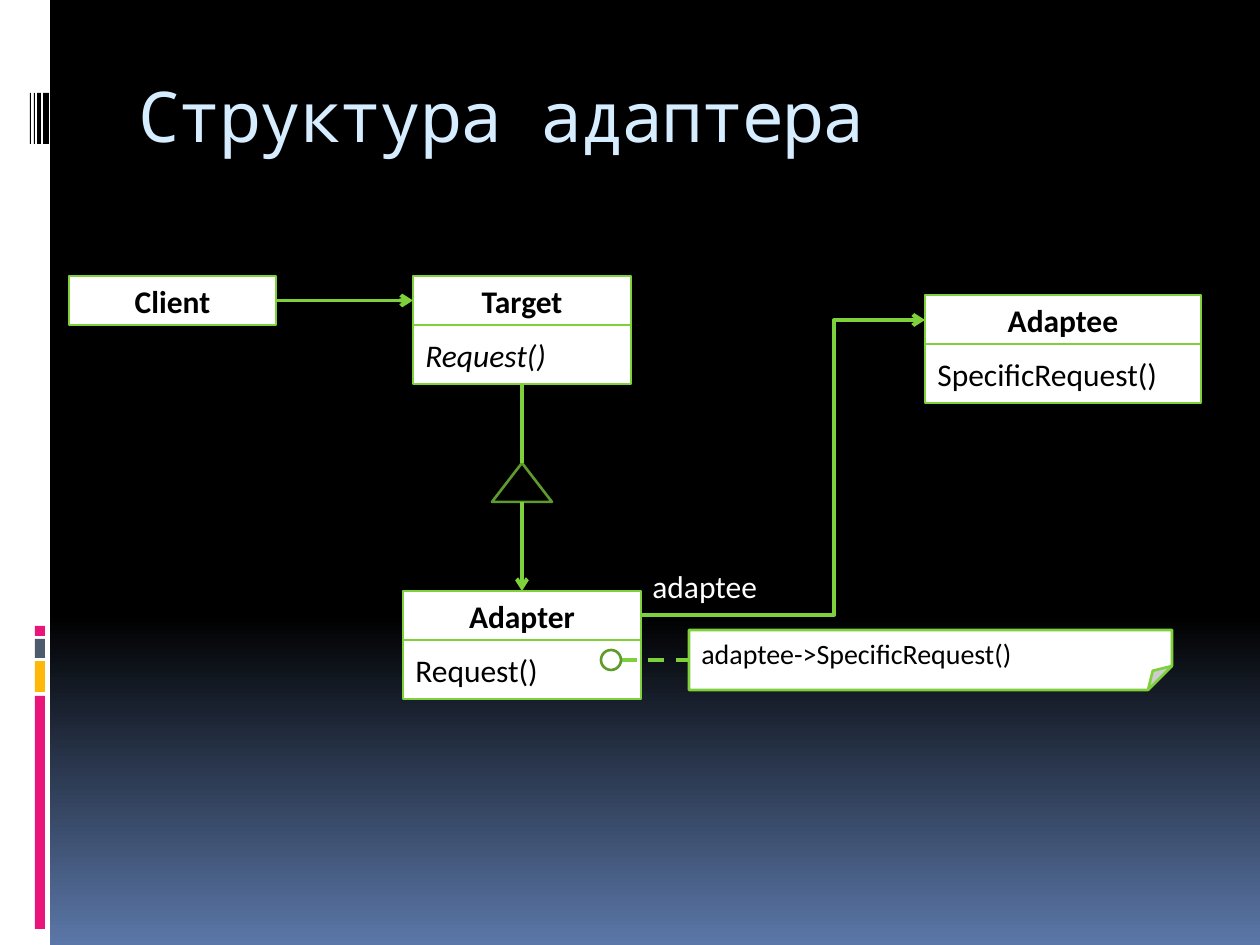
from lxml.etree import SubElement
from pptx import Presentation
from pptx.dml.color import RGBColor
from pptx.enum.dml import MSO_LINE
from pptx.enum.shapes import MSO_CONNECTOR, MSO_SHAPE
from pptx.enum.text import MSO_ANCHOR, PP_ALIGN
from pptx.oxml.ns import qn
from pptx.util import Emu, Pt

WHITE, BLACK = "FFFFFF", "000000"
GREEN, DARK_GREEN = "7FD13B", "5E9B2C"
PINK, YELLOW, SLATE = "EA157A", "FEB80A", "4E5B6F"
HEADER_HEIGHT, BODY_HEIGHT = 49, 59
TOP, LEFT, BOTTOM, RIGHT = range(4)


def px(length):
    """Turn pixels (126 to the inch) into EMU."""
    return Emu(round(length * 914400 / 126))


def color(value):
    return RGBColor.from_string(value)


def write(shape, text, size, text_color=BLACK, font="Calibri", bold=False,
          italic=False, align=PP_ALIGN.LEFT, anchor=MSO_ANCHOR.TOP):
    frame = shape.text_frame
    frame.text = text
    frame.word_wrap = True
    frame.vertical_anchor = anchor
    paragraph = frame.paragraphs[0]
    paragraph.alignment = align
    run_font = paragraph.runs[0].font
    run_font.name, run_font.size = font, Pt(size)
    run_font.bold, run_font.italic = bold, italic
    run_font.color.rgb = color(text_color)


def set_guide(shape, name, share):
    """Set a geometry guide that python-pptx does not expose."""
    geometry = shape._element.spPr.find(qn("a:prstGeom"))
    guides = geometry.find(qn("a:avLst"))
    if guides is None:
        guides = SubElement(geometry, qn("a:avLst"))
    SubElement(guides, qn("a:gd"), name=name, fmla=f"val {round(share * 100000)}")


def add_figure(slide, kind, left, top, width, height, fill=None, line=None):
    shape = slide.shapes.add_shape(kind, px(left), px(top), px(width), px(height))
    shape.shadow.inherit = False
    if fill:
        shape.fill.solid()
        shape.fill.fore_color.rgb = color(fill)
    else:
        shape.fill.background()
    if line:
        shape.line.color.rgb = color(line)
        shape.line.width = Pt(1.5)
    else:
        shape.line.fill.background()
    return shape


def add_class_box(slide, name, left, top, width, method=None, italic=False):
    """Draw a class header with an optional method row; return both."""
    header = add_figure(slide, MSO_SHAPE.RECTANGLE, left, top, width,
                        HEADER_HEIGHT, WHITE, GREEN)
    write(header, name, 18, bold=True, align=PP_ALIGN.CENTER, anchor=MSO_ANCHOR.MIDDLE)
    body = None
    if method:
        body = add_figure(slide, MSO_SHAPE.RECTANGLE, left, top + HEADER_HEIGHT,
                          width, BODY_HEIGHT, WHITE, GREEN)
        write(body, method, 18, italic=italic, anchor=MSO_ANCHOR.MIDDLE)
    return header, body


def add_link(slide, start, end, kind=MSO_CONNECTOR.STRAIGHT, arrow=False,
             dashed=False, begin_at=None, end_at=None):
    """Connect two points; begin_at and end_at are (shape, side) pairs."""
    link = slide.shapes.add_connector(kind, *map(px, start + end))
    if begin_at:
        link.begin_connect(*begin_at)
    if end_at:
        link.end_connect(*end_at)
    link.line.color.rgb = color(GREEN)
    link.line.width = Pt(2.25)
    if dashed:
        link.line.dash_style = MSO_LINE.DASH
    properties = link._element.spPr
    if arrow:
        SubElement(properties.find(qn("a:ln")), qn("a:tailEnd"), type="arrow")
    SubElement(properties, qn("a:effectLst"))
    return link


def paint_background(slide):
    fill = slide.background.fill
    fill.gradient()
    fill.gradient_angle = 270
    for stop, position, value in zip(fill.gradient_stops, (0.65, 1), (BLACK, "5B77A8")):
        stop.position = position
        stop.color.rgb = color(value)


def add_side_strip(slide):
    add_figure(slide, MSO_SHAPE.RECTANGLE, 0, 0, 50, 945, WHITE)
    for top, height, fill in ((696, 233, PINK), (661, 31, YELLOW),
                              (639, 19, SLATE), (626, 10, PINK)):
        add_figure(slide, MSO_SHAPE.RECTANGLE, 35, top, 10, height, fill)
    for left, width in ((43, 6), (37, 4), (34, 1), (30, 1)):
        add_figure(slide, MSO_SHAPE.RECTANGLE, left, 93, width, 51, BLACK)


def add_title(slide, text):
    title = slide.shapes.title
    title.left, title.top, title.width, title.height = map(px, (126, 71, 1071, 126))
    write(title, text, 40, "D6ECFF", "Noto Sans Mono")
    title.text_frame.margin_top = px(2)
    title.text_frame.paragraphs[0].runs[0]._r.get_or_add_rPr().set("spc", "-100")


def add_diagram(slide):
    client, _ = add_class_box(slide, "Client", 69, 276, 207)
    target, target_body = add_class_box(slide, "Target", 413, 276, 218, "Request()", True)
    adapter, _ = add_class_box(slide, "Adapter", 403, 591, 238, "Request()")
    add_class_box(slide, "Adaptee", 925, 295, 276, "SpecificRequest()")

    add_figure(slide, MSO_SHAPE.ISOSCELES_TRIANGLE, 492, 463, 60, 39, line=DARK_GREEN)
    note = add_figure(slide, MSO_SHAPE.FOLDED_CORNER, 689, 630, 483, 60, WHITE, GREEN)
    set_guide(note, "adj", 0.4)
    write(note, "adaptee->SpecificRequest()", 16)

    add_link(slide, (276, 300), (413, 300), arrow=True,
             begin_at=(client, RIGHT), end_at=(target, LEFT))
    add_link(slide, (522, 384), (522, 463), begin_at=(target_body, BOTTOM))
    add_link(slide, (522, 502), (522, 591), arrow=True, end_at=(adapter, TOP))
    add_link(slide, (621, 660), (689, 660), dashed=True, end_at=(note, LEFT))
    elbow = add_link(slide, (641, 615), (925, 320), MSO_CONNECTOR.ELBOW, arrow=True)
    set_guide(elbow, "adj1", 0.68)
    add_figure(slide, MSO_SHAPE.OVAL, 601, 650, 20, 20, line=DARK_GREEN)

    label = slide.shapes.add_textbox(px(640), px(561), px(227), px(50))
    write(label, "adaptee", 18, WHITE)


def main():
    presentation = Presentation()
    presentation.slide_width, presentation.slide_height = px(1260), px(945)
    slide = presentation.slides.add_slide(presentation.slide_layouts[5])
    paint_background(slide)
    add_side_strip(slide)
    add_title(slide, "Структура адаптера")
    add_diagram(slide)
    presentation.save("out.pptx")


if __name__ == "__main__":
    main()
